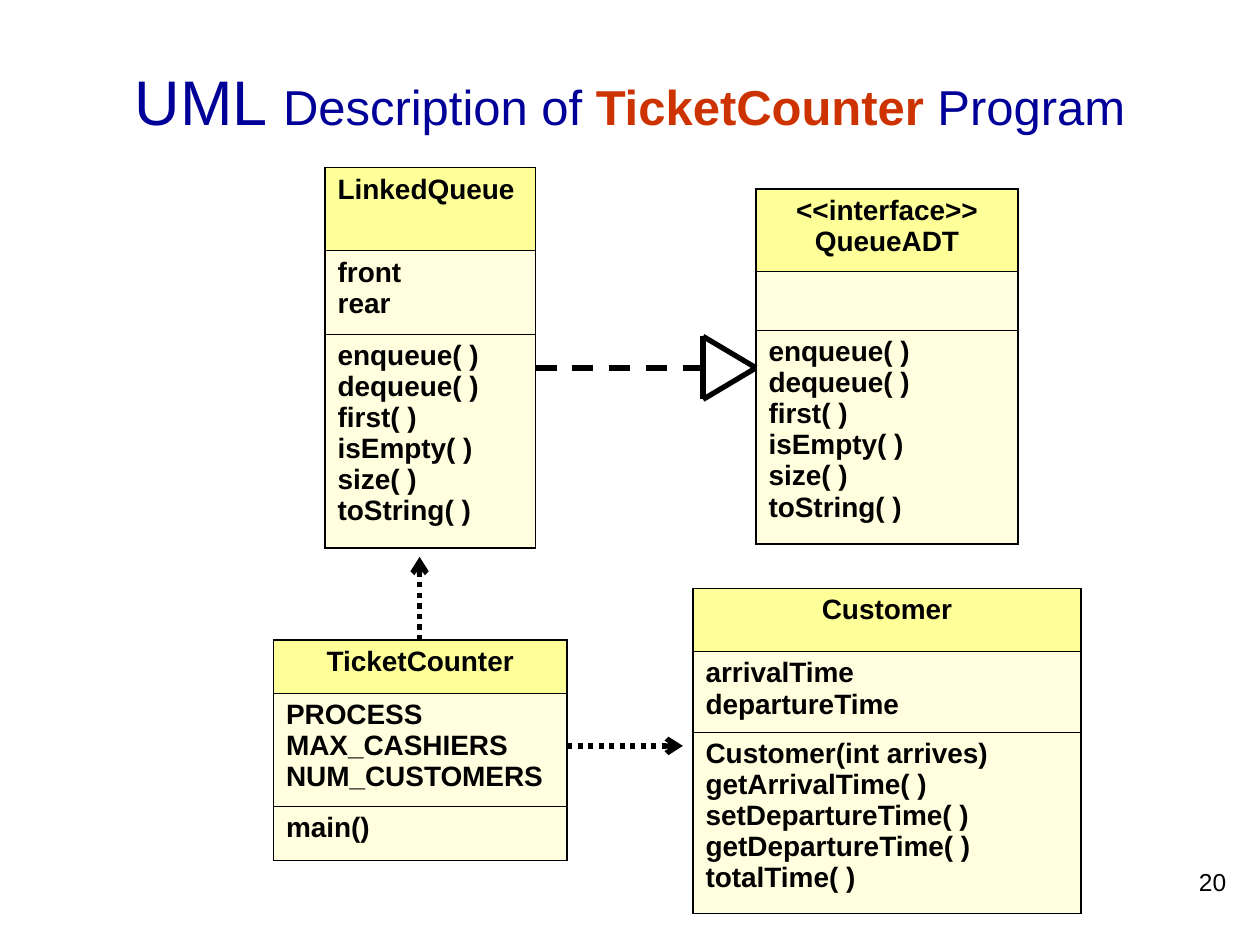
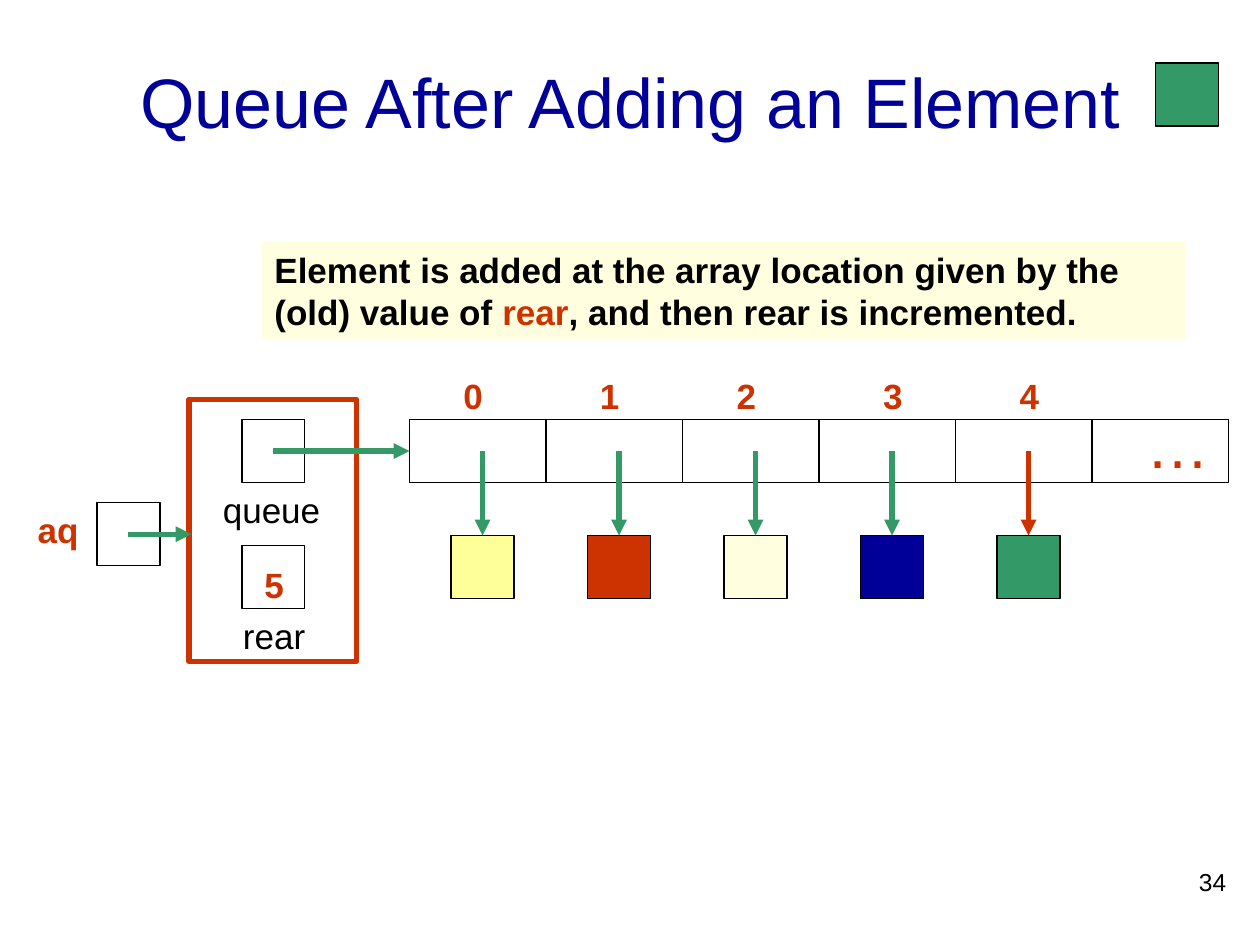
from lxml.etree import SubElement as Sub
from pptx import Presentation
from pptx.dml.color import RGBColor as Rgb
from pptx.enum.dml import MSO_LINE as Dash
from pptx.enum.shapes import MSO_CONNECTOR as Conn, MSO_SHAPE as Shape
from pptx.enum.text import MSO_ANCHOR as Anchor, MSO_AUTO_SIZE as Auto, PP_ALIGN as Align
from pptx.oxml.ns import qn
from pptx.util import Inches, Pt

FONT = "Arial"
BLACK, NAVY, RED, GREEN = "000000", "000099", "CC3300", "339966"
YELLOW, CREAM = "FFFF99", "FFFFDF"
SIDE = 0.5
PITCH = 13 / 12
QUEUE_OPS = ["enqueue( )", "dequeue( )", "first( )", "isEmpty( )", "size( )", "toString( )"]


def paint(target, color):
    if hasattr(target, "solid"):
        target.solid()
        target = target.fore_color
    target.rgb = Rgb.from_string(color)


def style(run, size, color=BLACK, bold=False):
    run.font.name = FONT
    run.font.size = Pt(size)
    run.font.bold = bold
    paint(run.font.color, color)


def write(frame, runs, align=Align.LEFT):
    para = frame.paragraphs[0]
    para.alignment = align
    for text, *look in runs:
        run = para.add_run()
        run.text = text
        style(run, *look)


def add_label(slide, box, text, size=20, color=BLACK, bold=False, align=Align.LEFT):
    frame = slide.shapes.add_textbox(*map(Inches, box)).text_frame
    frame.word_wrap = True
    write(frame, [(text, size, color, bold)], align)


def add_rect(slide, box, fill=None, line=BLACK, width=0.75):
    rect = slide.shapes.add_shape(Shape.RECTANGLE, *map(Inches, box))
    rect.shadow.inherit = False
    if fill:
        paint(rect.fill, fill)
    else:
        rect.fill.background()
    if line:
        paint(rect.line.color, line)
        rect.line.width = Pt(width)
    else:
        rect.line.fill.background()
    return rect


def add_line(slide, start, end, color=BLACK, dash=None, head=None):
    line = slide.shapes.add_connector(Conn.STRAIGHT, *map(Inches, start + end))
    paint(line.line.color, color)
    line.line.width = Pt(3)
    if dash:
        line.line.dash_style = dash
    props = line._element.spPr
    if head:
        Sub(props.find(qn("a:ln")), qn("a:tailEnd"), type=head)
    Sub(props, qn("a:effectLst"))
    return line


def add_edge(cell, side, width):
    edge = Sub(cell._tc.get_or_add_tcPr(), qn("a:ln" + side), w=str(Pt(width)))
    Sub(Sub(edge, qn("a:solidFill")), qn("a:srgbClr"), val=BLACK)


def add_class(slide, left, top, width, parts, heights, align=Align.CENTER):
    box = map(Inches, (left, top, width, sum(heights)))
    table = slide.shapes.add_table(len(parts), 1, *box).table
    table.first_row = table.horz_banding = False
    last = len(parts) - 1
    for row, (lines, height) in enumerate(zip(parts, heights)):
        table.rows[row].height = Inches(height)
        cell = table.cell(row, 0)
        for side, thick in (("L", True), ("R", True), ("T", row == 0), ("B", row == last)):
            add_edge(cell, side, 1.08 if thick else 0.45)
        paint(cell.fill, CREAM if row else YELLOW)
        cell.text_frame.text = "\n".join(lines)
        for para in cell.text_frame.paragraphs:
            para.alignment = Align.LEFT if row else align
            for run in para.runs:
                style(run, 16, bold=True)


def add_slide(deck, number, runs):
    slide = deck.slides.add_slide(deck.slide_layouts[5])
    title = slide.shapes.title
    title.left, title.top, title.width, title.height = map(Inches, (0.75, 0.17, 8.5, 1.25))
    title.text_frame.auto_size = Auto.NONE
    title.text_frame.vertical_anchor = Anchor.MIDDLE
    write(title.text_frame, runs, Align.CENTER)
    add_label(slide, (7.75, 6.83, 2.08, 0.5), number, 14, align=Align.RIGHT)
    return slide


def draw_uml(deck):
    slide = add_slide(deck, "20", [
        ("UML ", 36, NAVY), ("Description of ", 28, NAVY),
        ("TicketCounter", 28, RED, True), (" Program", 28, NAVY)])
    add_class(slide, 2.58, 1.33, 1.67,
              [["LinkedQueue"], ["front", "rear"], QUEUE_OPS], [0.66, 0.66, 1.7], Align.LEFT)
    add_class(slide, 6, 1.5, 2.08,
              [["<<interface>>", "QueueADT"], [], QUEUE_OPS], [0.65, 0.47, 1.7])
    add_class(slide, 2.17, 5.08, 2.33,
              [["TicketCounter"], ["PROCESS", "MAX_CASHIERS", "NUM_CUSTOMERS"], ["main()"]],
              [0.42, 0.9, 0.43])
    add_class(slide, 5.5, 4.67, 3.08,
              [["Customer"], ["arrivalTime", "departureTime"],
               ["Customer(int arrives)", "getArrivalTime( )", "setDepartureTime( )",
                "getDepartureTime( )", "totalTime( )"]],
              [0.5, 0.64, 1.44])
    add_line(slide, (4.25, 2.92), (5.58, 2.92), dash=Dash.DASH)
    points = [(5.58, 2.67), (6, 2.92), (5.58, 3.17)]
    for start, end in zip(points, points[1:] + points[:1]):
        add_line(slide, start, end)
    for start, end in (((3.33, 5.08), (3.33, 4.42)), ((4.5, 5.92), (5.42, 5.92))):
        add_line(slide, start, end, dash=Dash.ROUND_DOT, head="arrow")


def draw_fields(slide):
    add_rect(slide, (1.5, 3.17, 1.33, 2.08), line=RED, width=3)
    for left, top in ((1.92, 3.33), (1.92, 4.33), (0.77, 3.99)):
        add_rect(slide, (left, top, SIDE, SIDE))
    add_label(slide, (1.67, 3.83, 1.08, 0.44), "queue")
    add_label(slide, (1.83, 4.83, 0.92, 0.44), "rear")
    add_label(slide, (2, 4.42, 0.39, 0.44), "5", color=RED, bold=True)
    add_label(slide, (0.2, 3.99, 0.74, 0.44), "aq", color=RED, bold=True)
    add_line(slide, (1.02, 4.24), (1.52, 4.24), GREEN, head="triangle")


def draw_array(slide):
    cells = [add_rect(slide, (3.25 + i * PITCH, 3.33, PITCH, SIDE)) for i in range(6)]
    link = add_line(slide, (2.17, 3.58), (3.25, 3.58), GREEN, head="triangle")
    link.end_connect(cells[0], 1)
    for i, fill in enumerate((YELLOW, RED, CREAM, NAVY, GREEN)):
        left = 3.58 + i * PITCH
        nudge = 0.08 if i > 2 else 0
        add_label(slide, (left + nudge, 2.92, 0.39, 0.44), str(i), color=RED, bold=True)
        item = add_rect(slide, (left, 4.25, SIDE, SIDE), fill)
        mid = left + SIDE / 2
        link = add_line(slide, (mid, 3.58), (mid, 4.25), RED if i == 4 else GREEN,
                        head="triangle")
        link.end_connect(item, 0)
    add_label(slide, (9, 3.17, 0.67, 0.7), "…", 36, RED)


def draw_queue(deck):
    slide = add_slide(deck, "34", [("Queue After Adding an Element", 40, NAVY)])
    add_rect(slide, (9.17, 0.5, SIDE, SIDE), GREEN)
    note = add_rect(slide, (2.08, 1.92, 7.33, 0.77), CREAM, line=None).text_frame
    note.word_wrap = True
    note.vertical_anchor = Anchor.TOP
    write(note, [
        ("Element is added at the array location given by the (old) value of ", 20, BLACK, True),
        ("rear", 20, RED, True),
        (", and then rear is incremented.", 20, BLACK, True)])
    draw_fields(slide)
    draw_array(slide)


def main():
    deck = Presentation()
    deck.slide_width, deck.slide_height = Inches(10), Inches(7.5)
    draw_uml(deck)
    draw_queue(deck)
    deck.save("out.pptx")


if __name__ == "__main__":
    main()
